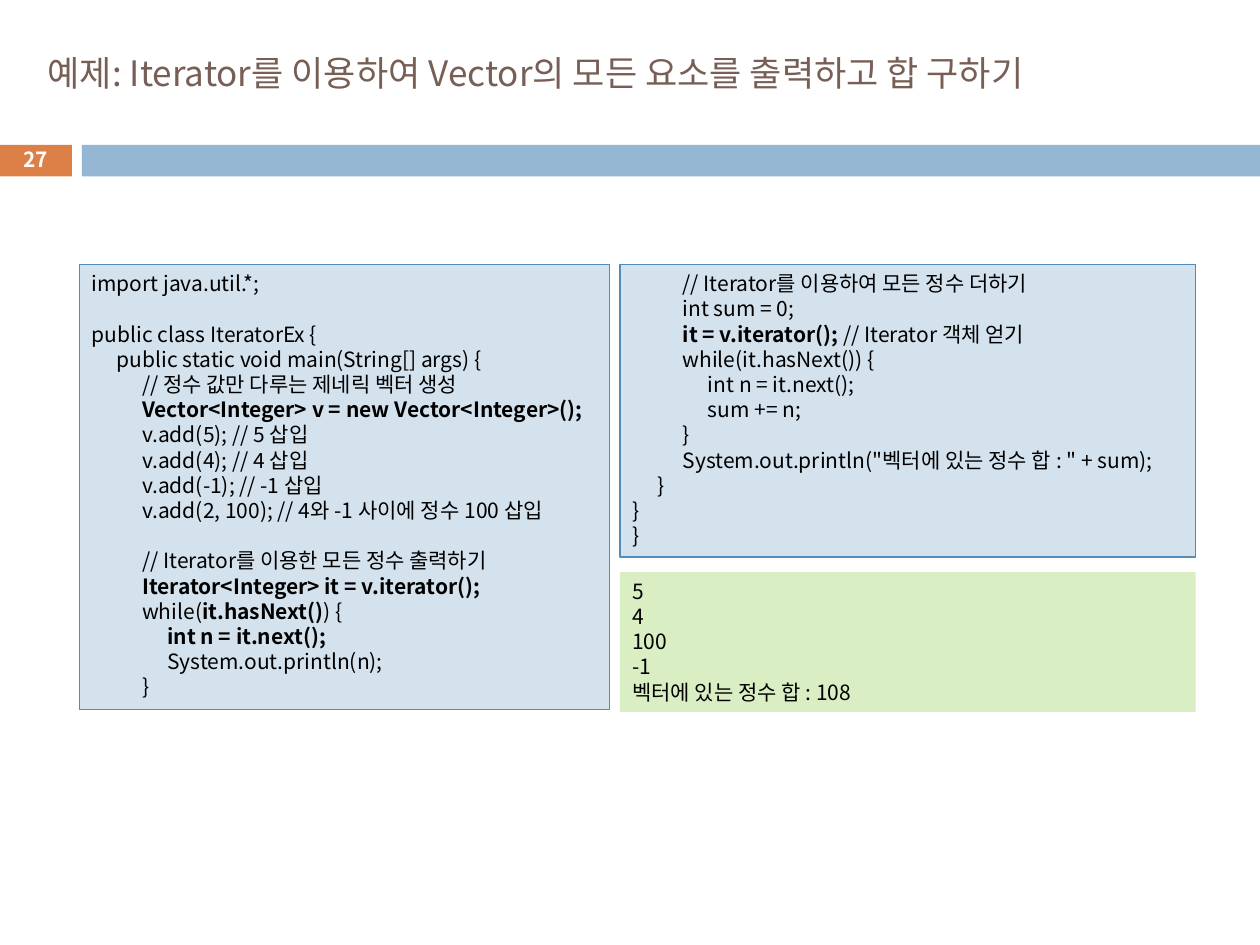
import pptx
import pptx.dml.color
import pptx.enum.shapes
import pptx.enum.text
import pptx.oxml
import pptx.oxml.ns
import pptx.util
from pptx.util import Inches

FONT = "Noto Sans CJK KR"
COLORS = {
    "title": "775F55",
    "number": "DD8047",
    "band": "94B6D2",
    "code": "D4E2ED",
    "code_line": "558BB8",
    "output": "DAEEC4",
    "text": "000000",
    "white": "FFFFFF",
}
TITLE = "예제: Iterator를 이용하여 Vector의 모든 요소를 출력하고 합 구하기"
LEFT_CODE = """import java.util.*;

public class IteratorEx {
\tpublic static void main(String[] args) {
\t\t// 정수 값만 다루는 제네릭 벡터 생성
\t\t**Vector<Integer> v = new Vector<Integer>();**
\t\tv.add(5); // 5 삽입
\t\tv.add(4); // 4 삽입
\t\tv.add(-1); // -1 삽입
\t\tv.add(2, 100); // 4와 -1 사이에 정수 100 삽입

\t\t// Iterator를 이용한 모든 정수 출력하기
\t\t**Iterator<Integer> it = v.iterator();**
\t\twhile(**it.hasNext()**) {
\t\t\t**int n = it.next();**
\t\t\tSystem.out.println(n);
\t\t}"""
RIGHT_CODE = """\t\t// Iterator를 이용하여 모든 정수 더하기
\t\tint sum = 0;
\t\t**it = v.iterator(); **// Iterator 객체 얻기
\t\twhile(it.hasNext()) {
\t\t\tint n = it.next();
\t\t\tsum += n;
\t\t}
\t\tSystem.out.println("벡터에 있는 정수 합 : " + sum);
\t}
}
}"""
OUTPUT = """5
4
100
-1
벡터에 있는 정수 합 : 108"""


def rgb(name):
    return pptx.dml.color.RGBColor.from_string(COLORS[name])


def style_font(font, size, color, bold=False):
    font.name = FONT
    font.size = pptx.util.Pt(size)
    font.color.rgb = rgb(color)
    font.bold = bold
    properties = font._element
    for tag in ("a:ea", "a:cs"):
        typeface = pptx.oxml.parse_xml(
            f'<{tag} {pptx.oxml.ns.nsdecls("a")} typeface="{FONT}"/>')
        properties.append(typeface)


def add_rectangle(slide, box, fill, line=None):
    shape = slide.shapes.add_shape(
        pptx.enum.shapes.MSO_SHAPE.RECTANGLE, *map(Inches, box))
    shape.shadow.inherit = False
    shape.fill.solid()
    shape.fill.fore_color.rgb = rgb(fill)
    if line:
        shape.line.color.rgb = rgb(line)
        shape.line.width = pptx.util.Pt(0.75)
    else:
        shape.line.fill.background()
    return shape


def add_label(slide, box, text, size, color, alignment, bold=False):
    shape = slide.shapes.add_textbox(*map(Inches, box))
    text_frame = shape.text_frame
    text_frame.word_wrap = True
    text_frame.vertical_anchor = pptx.enum.text.MSO_ANCHOR.MIDDLE
    text_frame.text = text
    paragraph = text_frame.paragraphs[0]
    paragraph.alignment = alignment
    style_font(paragraph.runs[0].font, size, color, bold)


def set_tab_stops(paragraph, step=0.2, count=3):
    stops = "".join(
        f'<a:tab pos="{Inches(step * number)}" algn="l"/>'
        for number in range(1, count + 1))
    paragraph._p.get_or_add_pPr().append(pptx.oxml.parse_xml(
        f'<a:tabLst {pptx.oxml.ns.nsdecls("a")}>{stops}</a:tabLst>'))


def add_listing(slide, box, text, fill, line=None):
    text_frame = add_rectangle(slide, box, fill, line).text_frame
    text_frame.word_wrap = True
    text_frame.vertical_anchor = pptx.enum.text.MSO_ANCHOR.TOP
    for index, code_line in enumerate(text.split("\n")):
        paragraph = text_frame.add_paragraph() if index else text_frame.paragraphs[0]
        paragraph.alignment = pptx.enum.text.PP_ALIGN.LEFT
        paragraph.line_spacing = pptx.util.Pt(14.4)
        set_tab_stops(paragraph)
        for part, words in enumerate(code_line.split("**")):
            if words:
                run = paragraph.add_run()
                run.text = words
                style_font(run.font, 12, "text", bold=part % 2 == 1)


def add_header(slide, left, top, width, height):
    number_width, gap = 0.58, 0.08
    band_left = left + number_width + gap
    add_rectangle(slide, (left, top, number_width, height), "number")
    add_rectangle(slide, (band_left, top, left + width - band_left, height), "band")
    add_label(slide, (0.28, 0.13, 9.5, 0.89), TITLE, 20, "title",
              pptx.enum.text.PP_ALIGN.LEFT)
    add_label(slide, (left, top - 0.02, number_width, height + 0.02), "27", 11.9,
              "white", pptx.enum.text.PP_ALIGN.CENTER, bold=True)


def add_example(slide, left, top, width, height):
    left_width, right_width, code_height, output_height = 4.21, 4.57, 2.32, 1.11
    right = left + width - right_width
    add_listing(slide, (left, top, left_width, height - 0.02), LEFT_CODE,
                "code", "code_line")
    add_listing(slide, (right, top, right_width, code_height), RIGHT_CODE,
                "code", "code_line")
    add_listing(slide, (right, top + height - output_height, right_width, output_height),
                OUTPUT, "output")


def main():
    presentation = pptx.Presentation()
    presentation.slide_width = Inches(10)
    presentation.slide_height = Inches(7.5)
    slide = presentation.slides.add_slide(presentation.slide_layouts[6])
    add_header(slide, -0.01, 1.15, 10.01, 0.25)
    add_example(slide, 0.63, 2.1, 8.86, 3.55)
    presentation.save("out.pptx")


if __name__ == "__main__":
    main()
